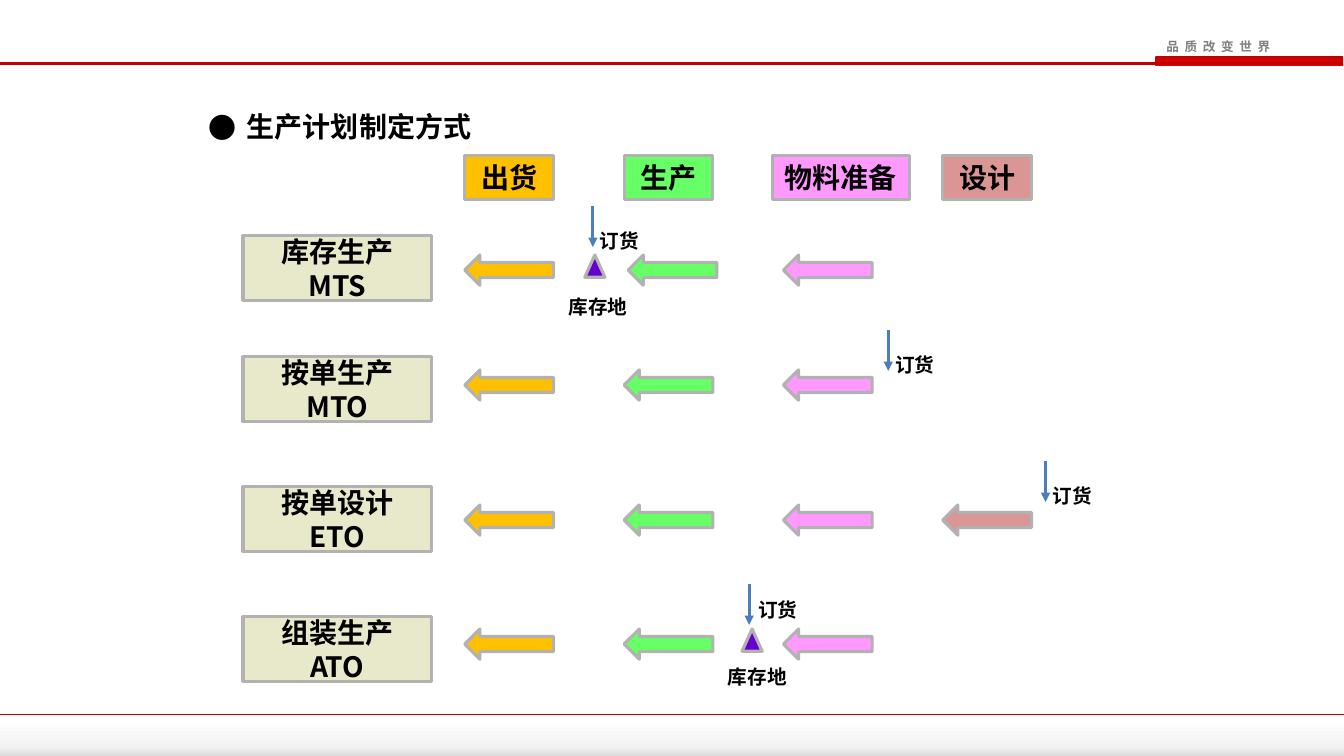
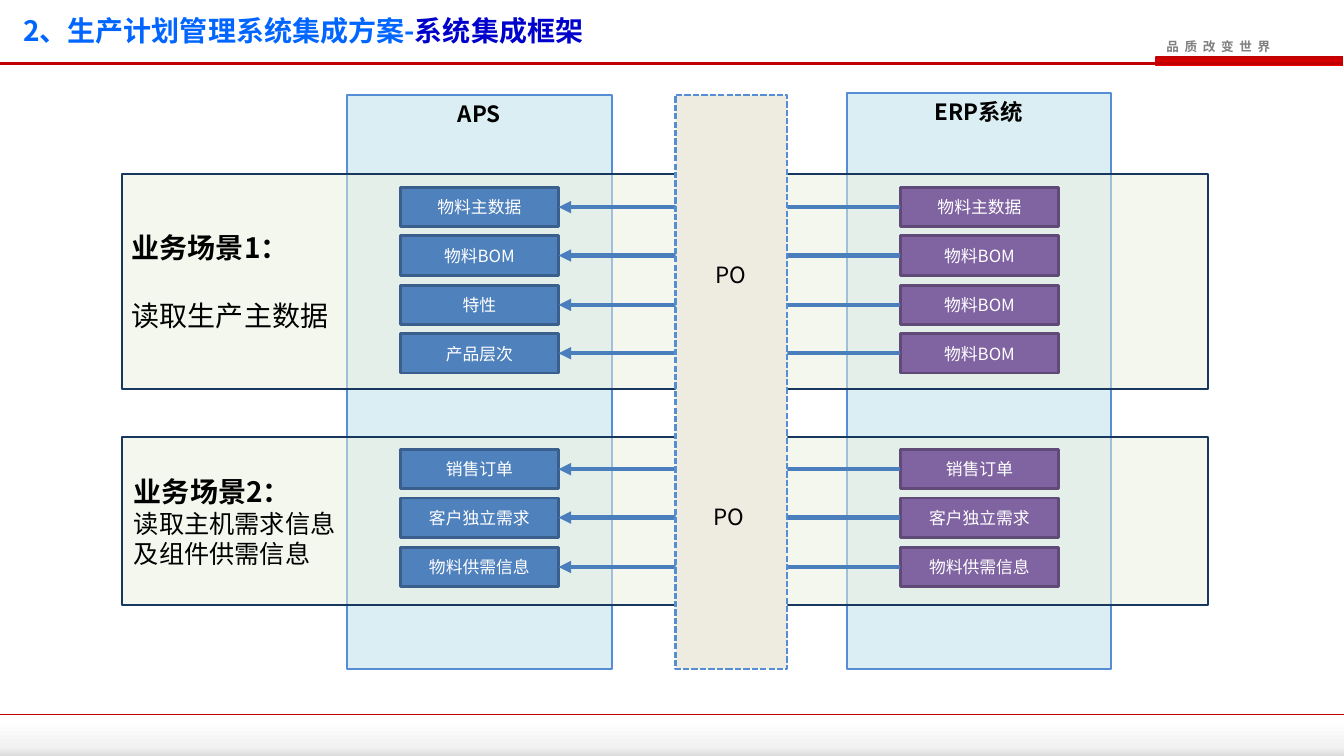
from dataclasses import dataclass
from typing import Optional

from lxml.etree import SubElement
from pptx import Presentation
from pptx.dml.color import RGBColor
from pptx.enum.dml import MSO_LINE
from pptx.enum.shapes import MSO_CONNECTOR, MSO_SHAPE
from pptx.enum.text import MSO_ANCHOR, PP_ALIGN
from pptx.oxml.ns import qn
from pptx.util import Pt

PX = 9144  # 100 px to the inch
WIDTH, HEIGHT = 1333, 750
FONT = "Noto Sans CJK SC"

BLACK = RGBColor(0x00, 0x00, 0x00)
WHITE = RGBColor(0xFF, 0xFF, 0xFF)
GREY = RGBColor(0x80, 0x80, 0x80)
EDGE_GREY = RGBColor(0xB2, 0xB2, 0xB2)
PALE_GREY = RGBColor(0xF2, 0xF2, 0xF2)
MID_GREY = RGBColor(0xDC, 0xDC, 0xDC)
DARK_RED = RGBColor(0xC0, 0x00, 0x00)
RED = RGBColor(0xEE, 0x00, 0x00)
TITLE_BLUE = RGBColor(0x00, 0x66, 0xFF)
TITLE_NAVY = RGBColor(0x00, 0x00, 0xCC)
ARROW_BLUE = RGBColor(0x4B, 0x7E, 0xBC)
BEIGE = RGBColor(0xE8, 0xE8, 0xCA)
ORANGE = RGBColor(0xFF, 0xC0, 0x00)
GREEN = RGBColor(0x66, 0xFF, 0x66)
PINK = RGBColor(0xFF, 0x99, 0xFF)
ROSE = RGBColor(0xD9, 0x96, 0x94)
VIOLET = RGBColor(0x66, 0x00, 0xCC)
SYSTEM_FILL = RGBColor(0xDB, 0xEE, 0xF4)
SYSTEM_EDGE = RGBColor(0x55, 0x8E, 0xD5)
SCENE_FILL = RGBColor(0xEB, 0xF1, 0xDE)
SCENE_EDGE = RGBColor(0x17, 0x37, 0x5E)
APS_FILL = RGBColor(0x4F, 0x81, 0xBD)
APS_EDGE = RGBColor(0x3A, 0x5F, 0x8C)
ERP_FILL = RGBColor(0x80, 0x64, 0xA2)
ERP_EDGE = RGBColor(0x5F, 0x4A, 0x78)
PO_FILL = RGBColor(0xEE, 0xEC, 0xE1)

Point = tuple[int, int]


@dataclass(frozen=True)
class Stage:
    name: str
    header_x: int
    header_w: int
    fill: RGBColor


@dataclass(frozen=True)
class Strategy:
    name: str
    code: str
    label_y: int
    arrow_y: int
    order: Point
    order_label: Point
    stock_x: Optional[int] = None
    stock_label: Point = (0, 0)
    steps: int = 3
    make_shift: int = 0


@dataclass(frozen=True)
class Scene:
    top: int
    height: int
    label_box: tuple[int, int, int, int]
    heading: str
    details: tuple[str, ...]
    detail_size: int
    detail_gap: int
    first_row: int
    rows: tuple[tuple[str, str], ...]


STAGE_X, STAGE_PITCH, STAGE_W = 461, 158, 88
STAGES = (
    Stage("出货", 461, 88, ORANGE),
    Stage("生产", 619, 88, GREEN),
    Stage("物料准备", 766, 136, PINK),
    Stage("设计", 935, 88, ROSE),
)
STRATEGIES = (
    Strategy("库存生产", "MTS", 234, 253, (588, 204), (585, 222), 580, (554, 288), make_shift=4),
    Strategy("按单生产", "MTO", 354, 367, (881, 327), (878, 345)),
    Strategy("按单设计", "ETO", 483, 501, (1037, 457), (1034, 475), steps=4),
    Strategy("组装生产", "ATO", 612, 624, (743, 579), (742, 588), 736, (712, 655)),
)
SCENES = (
    Scene(173, 213, (121, 224, 217, 111), "业务场景1：", ("读取生产主数据",), 20, 24, 186,
          (("物料主数据", "物料主数据"), ("物料BOM", "物料BOM"),
           ("特性", "物料BOM"), ("产品层次", "物料BOM"))),
    Scene(434, 166, (123, 466, 222, 138), "业务场景2：",
          ("读取主机需求信息", "及组件供需信息"), 18, 0, 446,
          (("销售订单", "销售订单"), ("客户独立需求", "客户独立需求"),
           ("物料供需信息", "物料供需信息"))),
)


def style_run(r, size: int, color: RGBColor, bold: bool) -> None:
    r.font.size, r.font.bold, r.font.name = Pt(size), bold, FONT
    r.font.color.rgb = color
    SubElement(r._r.get_or_add_rPr(), qn("a:ea"), typeface=FONT)


def add_text(tf, text: str, *, size: int, color: RGBColor = BLACK, bold: bool = True,
             align: PP_ALIGN = PP_ALIGN.LEFT, before: int = 0):
    """Write one paragraph, using the first one while it is empty."""
    p = tf.paragraphs[0]
    if p.runs:
        p = tf.add_paragraph()
    p.alignment, p.line_spacing = align, Pt(size * 1.2)
    if before:
        p.space_before = Pt(before)
    style_run(p.add_run(), size, color, bold)
    p.runs[0].text = text
    return p


def add_box(s, x: int, y: int, w: int, h: int, wrap: bool = True):
    tf = s.shapes.add_textbox(x * PX, y * PX, w * PX, h * PX).text_frame
    tf.word_wrap = wrap
    return tf


def add_shape(s, kind: MSO_SHAPE, x: int, y: int, w: int, h: int,
              fill: Optional[RGBColor] = None, edge: Optional[RGBColor] = None,
              weight: float = 2.25, anchor: MSO_ANCHOR = MSO_ANCHOR.MIDDLE):
    sp = s.shapes.add_shape(kind, x * PX, y * PX, w * PX, h * PX)
    sp.shadow.inherit = False
    if fill is not None:
        sp.fill.solid()
        sp.fill.fore_color.rgb = fill
    if edge is None:
        sp.line.fill.background()
    else:
        sp.line.color.rgb, sp.line.width = edge, Pt(weight)
    sp.text_frame.vertical_anchor = anchor
    return sp


def add_line(s, start: Point, end: Point, color: RGBColor, weight: float, arrow: bool = False):
    cn = s.shapes.add_connector(MSO_CONNECTOR.STRAIGHT, *(v * PX for v in start + end))
    cn.line.color.rgb, cn.line.width = color, Pt(weight)
    if arrow:
        SubElement(cn.line._get_or_add_ln(), qn("a:tailEnd"), type="triangle")
    SubElement(cn._element.spPr, qn("a:effectLst"))
    return cn


def fill_gradient(sp, *stops: tuple[int, RGBColor]) -> None:
    """Fill from top to bottom with (percent, colour) stops."""
    sp.fill.gradient()
    sp.fill.gradient_angle = 270
    stop_list = sp._element.spPr.find(".//" + qn("a:gsLst"))
    for old in list(stop_list):
        stop_list.remove(old)
    for percent, color in stops:
        gs = SubElement(stop_list, qn("a:gs"), pos=str(percent * 1000))
        SubElement(gs, qn("a:srgbClr"), val=str(color))


def add_frame(s) -> None:
    """Draw the header and footer bands common to all slides."""
    footer = add_shape(s, MSO_SHAPE.RECTANGLE, 0, 714, WIDTH, HEIGHT - 714)
    fill_gradient(footer, (0, WHITE), (75, PALE_GREY), (100, MID_GREY))
    add_line(s, (0, 709), (WIDTH, 709), DARK_RED, 1)
    tab = add_shape(s, MSO_SHAPE.RECTANGLE, 1146, 56, 186, 9)
    fill_gradient(tab, (0, DARK_RED), (100, RED))
    p = add_text(add_box(s, 1147, 34, 136, 25), "品 质 改 变 世 界", size=9, color=GREY)
    p.runs[0]._r.get_or_add_rPr().set("spc", "100")
    add_line(s, (0, 63), (1332, 63), DARK_RED, 1.5)


def add_strategy(s, row: Strategy) -> None:
    label = add_shape(s, MSO_SHAPE.RECTANGLE, 241, row.label_y, 187, 64, BEIGE, EDGE_GREY)
    for text in (row.name, row.code):
        add_text(label.text_frame, text, size=20, align=PP_ALIGN.CENTER)
    for i, stage in enumerate(STAGES[:row.steps]):
        x = STAGE_X + i * STAGE_PITCH + (row.make_shift if i == 1 else 0)
        add_shape(s, MSO_SHAPE.LEFT_ARROW, x, row.arrow_y, STAGE_W, 30, stage.fill, EDGE_GREY)
    x, y = row.order
    add_line(s, (x, y), (x, y + 41), ARROW_BLUE, 2.25, arrow=True)
    add_text(add_box(s, *row.order_label, 70, 34), "订货", size=14)
    if row.stock_x is not None:
        add_shape(s, MSO_SHAPE.ISOSCELES_TRIANGLE, row.stock_x, row.arrow_y, 20, 22,
                  VIOLET, EDGE_GREY)
        add_text(add_box(s, *row.stock_label, 109, 34), "库存地", size=14)


def build_strategies(prs) -> None:
    s = prs.slides.add_slide(prs.slide_layouts[6])
    add_frame(s)
    tf = add_box(s, 197, 104, 907, 44)
    pPr = tf.paragraphs[0]._p.get_or_add_pPr()
    pPr.set("marL", str(38 * PX))
    pPr.set("indent", str(-38 * PX))
    add_text(tf, "生产计划制定方式", size=20)
    SubElement(pPr, qn("a:buFont"), typeface=FONT)
    SubElement(pPr, qn("a:buChar"), char="●")
    for stage in STAGES:
        sp = add_shape(s, MSO_SHAPE.RECTANGLE, stage.header_x, 154, stage.header_w, 44,
                       stage.fill, EDGE_GREY)
        sp.text_frame.word_wrap = False
        add_text(sp.text_frame, stage.name, size=20, align=PP_ALIGN.CENTER)
    for row in STRATEGIES:
        add_strategy(s, row)


def add_system(s, name: str, x: int, y: int, w: int, h: int) -> None:
    sp = add_shape(s, MSO_SHAPE.RECTANGLE, x, y, w, h, SYSTEM_FILL, SYSTEM_EDGE, 1.5,
                   MSO_ANCHOR.TOP)
    add_text(sp.text_frame, name, size=16, align=PP_ALIGN.CENTER)


def add_item(s, text: str, x: int, y: int, fill: RGBColor, edge: RGBColor):
    sp = add_shape(s, MSO_SHAPE.RECTANGLE, x, y, 157, 39, fill, edge, 2)
    sp.text_frame.margin_left = sp.text_frame.margin_right = 0
    add_text(sp.text_frame, text, size=12, color=WHITE, bold=False, align=PP_ALIGN.CENTER)
    return sp


def add_scene(s, scene: Scene) -> None:
    band = add_shape(s, MSO_SHAPE.RECTANGLE, 121, scene.top, 1077, scene.height,
                     SCENE_FILL, SCENE_EDGE, 1.5)
    color = band._element.spPr.find(qn("a:solidFill")).find(qn("a:srgbClr"))
    SubElement(color, qn("a:alpha"), val="50000")
    tf = add_box(s, *scene.label_box, wrap=False)
    add_text(tf, scene.heading, size=20)
    for detail in scene.details:
        add_text(tf, detail, size=scene.detail_size, bold=False, before=scene.detail_gap)
    for i, (aps_text, erp_text) in enumerate(scene.rows):
        y = scene.first_row + 97 * i // 2
        aps = add_item(s, aps_text, 397, y, APS_FILL, APS_EDGE)
        erp = add_item(s, erp_text, 893, y, ERP_FILL, ERP_EDGE)
        cn = add_line(s, (893, y + 20), (554, y + 20), ARROW_BLUE, 3, arrow=True)
        cn.begin_connect(erp, 1)
        cn.end_connect(aps, 3)


def build_integration(prs) -> None:
    s = prs.slides.add_slide(prs.slide_layouts[5])
    add_frame(s)
    title = s.shapes.title
    title.left, title.top, title.width, title.height = (v * PX for v in (13, 6, 948, 47))
    title.text_frame.vertical_anchor = MSO_ANCHOR.MIDDLE
    p = add_text(title.text_frame, "2、生产计划管理系统集成方案-", size=20, color=TITLE_BLUE)
    p.line_spacing = Pt(25)
    r = p.add_run()
    r.text = "系统集成框架"
    style_run(r, 20, TITLE_NAVY, True)

    add_system(s, "ERP系统", 840, 92, 262, 572)
    add_system(s, "APS", 344, 94, 263, 570)
    for scene in SCENES:
        add_scene(s, scene)
    po = add_shape(s, MSO_SHAPE.RECTANGLE, 670, 94, 111, 570, PO_FILL, SYSTEM_EDGE, 1.5)
    po.line.dash_style = MSO_LINE.SQUARE_DOT
    for x, y in ((700, 254), (698, 494)):
        add_text(add_box(s, x, y, 52, 37, wrap=False), "PO", size=16, bold=False)


def main() -> None:
    prs = Presentation()
    prs.slide_width, prs.slide_height = WIDTH * PX, HEIGHT * PX
    build_strategies(prs)
    build_integration(prs)
    prs.save("out.pptx")


if __name__ == "__main__":
    main()
